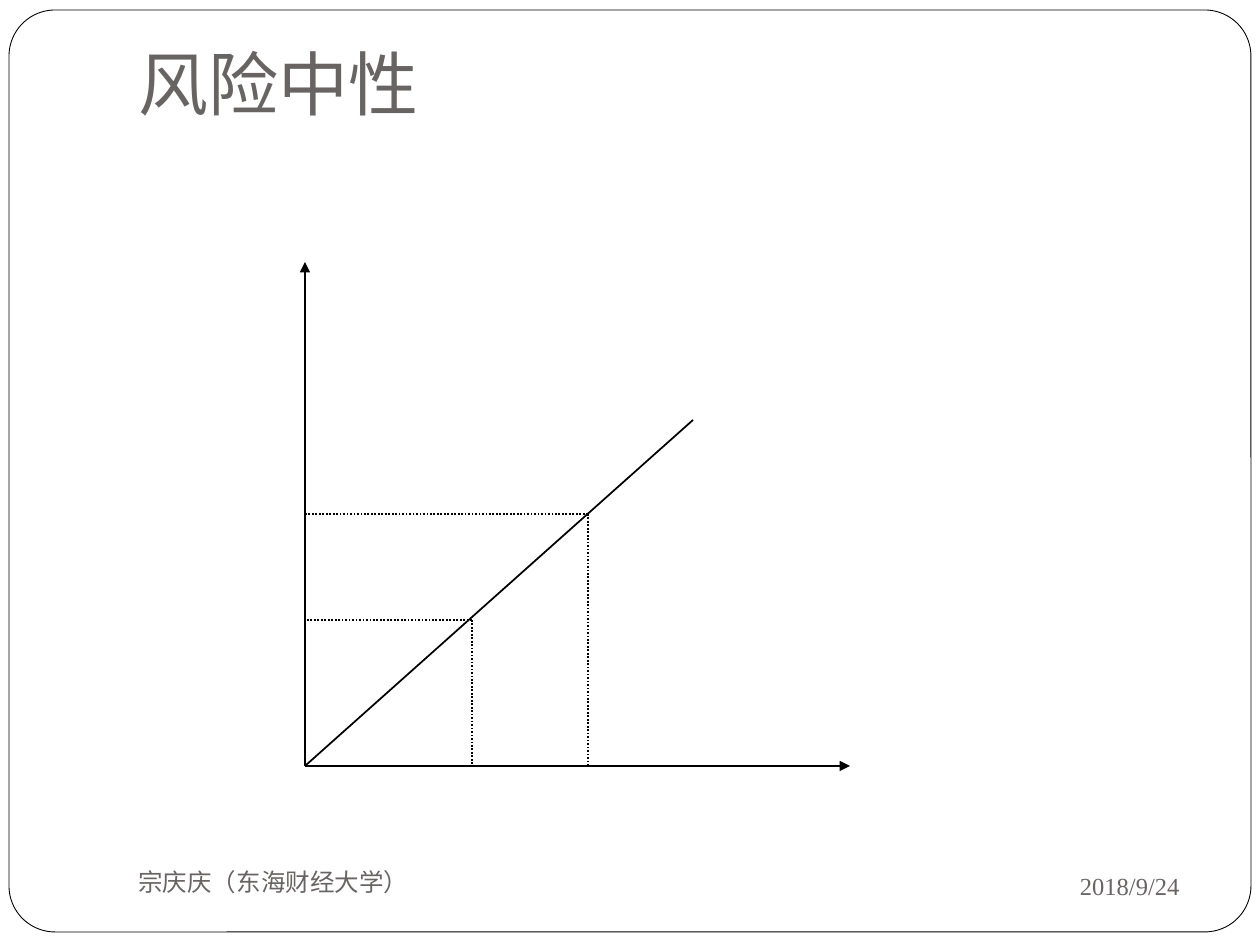
"""Build the risk-neutrality slide with its straight utility line."""
from pptx import Presentation
from pptx.dml.color import RGBColor
from pptx.enum.dml import MSO_LINE
from pptx.enum.shapes import MSO_CONNECTOR, MSO_SHAPE
from pptx.enum.text import MSO_ANCHOR, PP_ALIGN
from pptx.oxml.ns import qn
from pptx.util import Emu, Pt
from lxml.etree import SubElement

PX = 914400 / 126
BLACK = RGBColor(0x00, 0x00, 0x00)
WHITE = RGBColor(0xFF, 0xFF, 0xFF)
GREY = RGBColor(0x69, 0x64, 0x64)


def px(*values):
    return [Emu(round(v * PX)) for v in values]


def add_line(s, start, end, dash=None, arrow=False):
    line = s.shapes.add_connector(MSO_CONNECTOR.STRAIGHT, *px(*start, *end))
    line.line.color.rgb = BLACK
    line.line.width = Pt(1)
    if dash:
        line.line.dash_style = dash
    if arrow:
        SubElement(line.line._get_or_add_ln(), qn("a:tailEnd"), type="triangle")
    SubElement(line._element.spPr, qn("a:effectLst"))


prs = Presentation()
prs.slide_width, prs.slide_height = px(1260, 945)
s = prs.slides.add_slide(prs.slide_layouts[6])

frame = s.shapes.add_shape(MSO_SHAPE.ROUNDED_RECTANGLE, *px(9, 10, 1242, 922))
frame.adjustments[0] = 0.05
frame.shadow.inherit = False
frame.fill.solid()
frame.fill.fore_color.rgb = WHITE
frame.line.color.rgb = BLACK
frame.line.width = Pt(0.5)

origin = (305, 766)
add_line(s, origin, (850, origin[1]), arrow=True)
add_line(s, origin, (origin[0], 262), arrow=True)
add_line(s, origin, (693, 420))

for x, y in [(472, 620), (588, 514)]:
    add_line(s, (x, y), (x, origin[1]), MSO_LINE.ROUND_DOT)
    add_line(s, (x, y), (origin[0], y), MSO_LINE.ROUND_DOT)

texts = [
    ("风险中性", (126, 29, 1071, 108), 40, "Roboto", MSO_ANCHOR.BOTTOM, PP_ALIGN.LEFT, 13),
    ("2018/9/24", (850, 853, 342, 66), 14, "Times New Roman", MSO_ANCHOR.MIDDLE, PP_ALIGN.RIGHT, 6),
    ("宗庆庆（东海财经大学）", (126, 850, 546, 63), 14, "Times New Roman", MSO_ANCHOR.MIDDLE, PP_ALIGN.LEFT, 6),
]
for text, box, size, font, anchor, align, bottom in texts:
    tf = s.shapes.add_textbox(*px(*box)).text_frame
    tf.word_wrap = True
    tf.vertical_anchor = anchor
    tf.margin_bottom = px(bottom)[0]
    tf.text = text
    p = tf.paragraphs[0]
    p.alignment = align
    r = p.runs[0]
    r.font.size = Pt(size)
    r.font.name = font
    r.font.color.rgb = GREY

prs.save("out.pptx")
